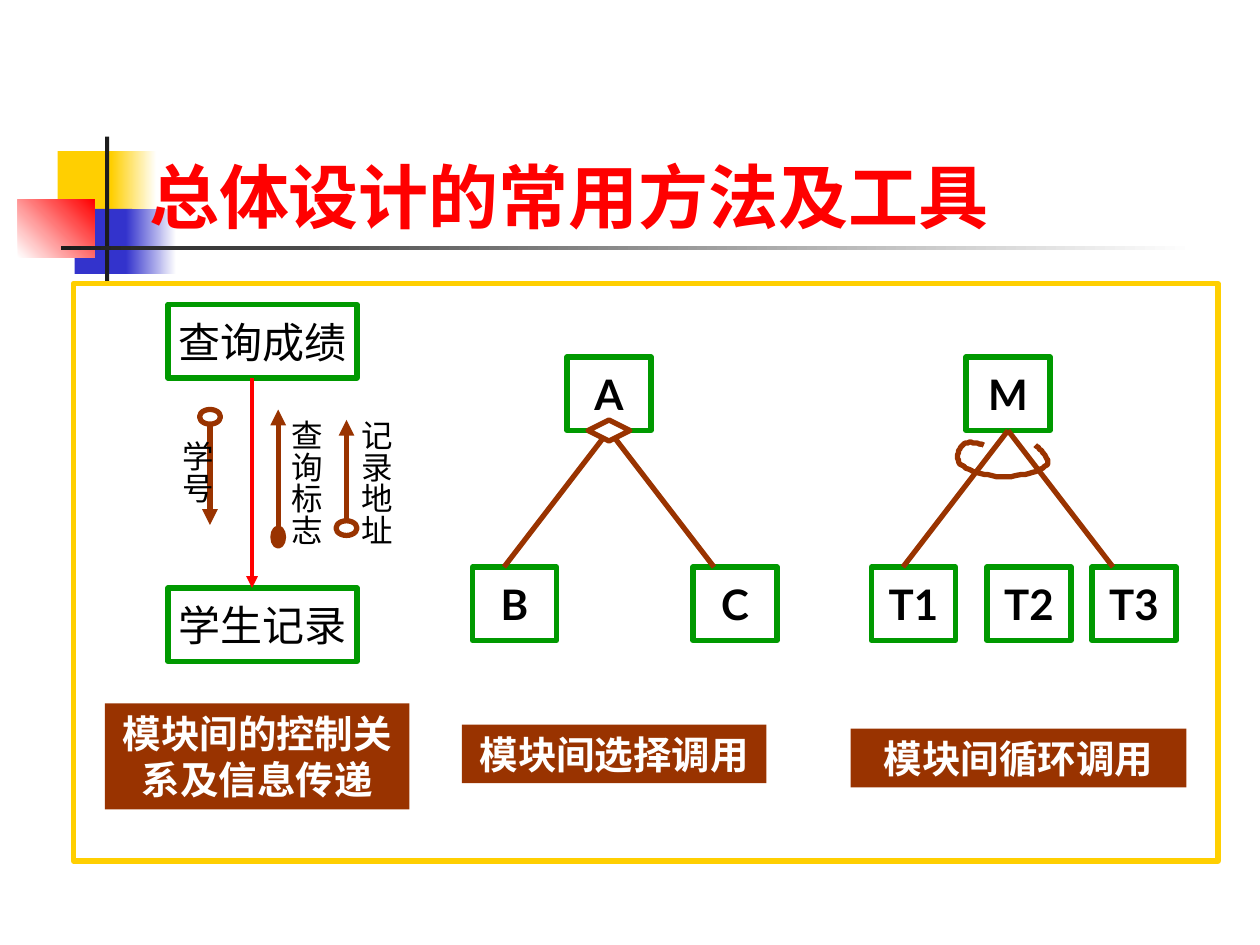
import dataclasses
import pptx
import pptx.dml.color
import pptx.enum.shapes
import pptx.enum.text
import pptx.oxml
import pptx.oxml.ns
import pptx.util

PX = 7620
SHAPE = pptx.enum.shapes.MSO_SHAPE
ALIGN = pptx.enum.text.PP_ALIGN
ANCHOR = pptx.enum.text.MSO_ANCHOR
RGB = pptx.dml.color.RGBColor.from_string


@dataclasses.dataclass(frozen=True)
class Theme:
    yellow: str = "FFCF01"
    blue: str = "3333CC"
    red: str = "FF0000"
    dark: str = "1C1C1C"
    green: str = "009900"
    brown: str = "993300"
    white: str = "FFFFFF"
    black: str = "000000"
    title_font: str = "Times New Roman"
    body_font: str = "Lato"
    title_size: int = 40
    module_size: int = 24
    caption_size: int = 22
    label_size: int = 18
    stroke: float = 3
    call_stroke: float = 2.25


T = Theme()


def add_box(kind, at, fill=None, line=None, text="", size=T.module_size, color=T.black, bold=False):
    sp = s.shapes.add_shape(kind, *[v * PX for v in at])
    sp.shadow.inherit = False
    if fill:
        sp.fill.solid()
        sp.fill.fore_color.rgb = RGB(fill)
    else:
        sp.fill.background()
    if line:
        sp.line.color.rgb = RGB(line)
        sp.line.width = pptx.util.Pt(T.stroke)
    else:
        sp.line.fill.background()
    if text:
        p = sp.text_frame.paragraphs[0]
        p.text = text
        p.alignment = ALIGN.CENTER
        p.font.name = T.body_font
        p.font.size = pptx.util.Pt(size)
        p.font.bold = bold
        p.font.color.rgb = RGB(color)
    return sp


def add_line(x1, y1, x2, y2, color=T.brown, width=T.stroke, arrow=False):
    c = s.shapes.add_connector(
        pptx.enum.shapes.MSO_CONNECTOR.STRAIGHT, x1 * PX, y1 * PX, x2 * PX, y2 * PX)
    c.line.color.rgb = RGB(color)
    c.line.width = pptx.util.Pt(width)
    if arrow:
        ln = c.line._get_or_add_ln()
        ln.append(pptx.oxml.parse_xml(
            '<a:tailEnd xmlns:a="http://schemas.openxmlformats.org/drawingml/2006/main" type="triangle"/>'))
    c._element.spPr.append(pptx.oxml.xmlchemy.OxmlElement("a:effectLst"))


prs = pptx.Presentation()
prs.slide_width = 1200 * PX
prs.slide_height = 900 * PX
s = prs.slides.add_slide(prs.slide_layouts[5])

for at, start, end, angle in [
    ((55, 144, 58, 62), T.yellow, None, 0),
    ((106, 144, 43, 62), T.yellow, T.white, 0),
    ((71, 199, 55, 62), T.blue, None, 0),
    ((120, 199, 48, 62), T.blue, T.white, 0),
    ((17, 190, 73, 55), T.white, T.red, 45),
    ((100, 130, 4, 138), T.dark, None, 0),
    ((58, 234, 1080, 4), T.dark, T.white, 0),
]:
    sp = add_box(SHAPE.RECTANGLE, at, fill=start)
    if end:
        sp.fill.gradient()
        sp.fill.gradient_angle = angle
        for stop, color in zip(sp.fill.gradient_stops, (start, end)):
            stop.color.rgb = RGB(color)

title = s.shapes.title
title._element.getparent().append(title._element)
title.left, title.top, title.width, title.height = [v * PX for v in (130, 140, 1020, 92)]
tf = title.text_frame
tf.auto_size = pptx.enum.text.MSO_AUTO_SIZE.NONE
tf.vertical_anchor = ANCHOR.TOP
p = tf.paragraphs[0]
p.text = "总体设计的常用方法及工具"
p.alignment = ALIGN.LEFT
p.font.name = T.title_font
p.font.size = pptx.util.Pt(T.title_size)
p.font.bold = True
p.font.color.rgb = RGB(T.red)

for text, x, y, w, bold in [
    ("查询成绩", 160, 290, 180, False),
    ("学生记录", 160, 560, 180, False),
    ("A", 540, 340, 80, True),
    ("B", 450, 540, 80, True),
    ("C", 660, 540, 80, True),
    ("M", 920, 340, 80, True),
    ("T1", 830, 540, 80, True),
    ("T2", 940, 540, 80, True),
    ("T3", 1040, 540, 80, True),
]:
    sp = add_box(SHAPE.RECTANGLE, (x, y, w, 70), line=T.green, text=text, bold=bold)
    sp.text_frame.word_wrap = False
    sp.text_frame.vertical_anchor = ANCHOR.MIDDLE

add_line(240, 360, 240, 560, T.red, T.call_stroke, arrow=True)

for x, start, end, ring, fill in [
    (200, 404, 500, (190, 390, 20, 14), None),
    (265, 503, 390, (260, 503, 10, 17), T.brown),
    (330, 496, 400, (320, 496, 20, 14), None),
]:
    add_line(x, start, x, end, arrow=True)
    add_box(SHAPE.OVAL, ring, fill=fill, line=T.brown)

for text, x, y, h in [
    ("学号", 170, 420, 100),
    ("查询标志", 274, 400, 140),
    ("记录地址", 340, 400, 140),
]:
    sp = s.shapes.add_textbox(x * PX, y * PX, 36 * PX, h * PX)
    tf = sp.text_frame
    tf.word_wrap = True
    tf.margin_left = tf.margin_right = tf.margin_top = tf.margin_bottom = 0
    tf._txBody.bodyPr.set("vert", "eaVert")
    p = tf.paragraphs[0]
    p.text = text
    p.alignment = ALIGN.CENTER
    p.font.name = T.body_font
    p.font.size = pptx.util.Pt(T.label_size)
    p.font.color.rgb = RGB(T.black)

for x in (580, 960):
    for dx in (-100, 100):
        add_line(x, 410, x + dx, 540)
add_box(SHAPE.DIAMOND, (560, 400, 40, 20), fill=T.white, line=T.brown)

add_box(SHAPE.RECTANGLE, (70, 270, 1090, 550), line=T.yellow)

for text, at in [
    ("模块间的控制关系及信息传递", (100, 670, 290, 101)),
    ("模块间选择调用", (440, 690, 290, 56)),
    ("模块间循环调用", (810, 694, 320, 56)),
]:
    sp = add_box(SHAPE.RECTANGLE, at, fill=T.brown, text=text,
                 size=T.caption_size, color=T.white, bold=True)
    sp.text_frame.word_wrap = True
    sp.text_frame.vertical_anchor = ANCHOR.TOP

loop = [(937, 424), (929, 421), (920, 420), (917, 424), (913, 427), (909, 438), (916, 443),
        (923, 449), (943, 454), (956, 454), (970, 454), (991, 449), (997, 443),
        (1002, 438), (990, 427), (986, 424)]
points = []
for i in range(0, len(loop) - 1, 3):
    for step in range(1, 13):
        t = step / 12
        weights = ((1 - t) ** 3, 3 * t * (1 - t) ** 2, 3 * t * t * (1 - t), t ** 3)
        points.append(tuple(sum(w * pt[axis] for w, pt in zip(weights, loop[i:i + 4]))
                            for axis in (0, 1)))
fb = s.shapes.build_freeform(*loop[0], scale=PX)
fb.add_line_segments(points, close=False)
sp = fb.convert_to_shape()
sp.shadow.inherit = False
sp.fill.background()
sp.line.color.rgb = RGB(T.brown)
sp.line.width = pptx.util.Pt(T.stroke)

prs.save("out.pptx")
